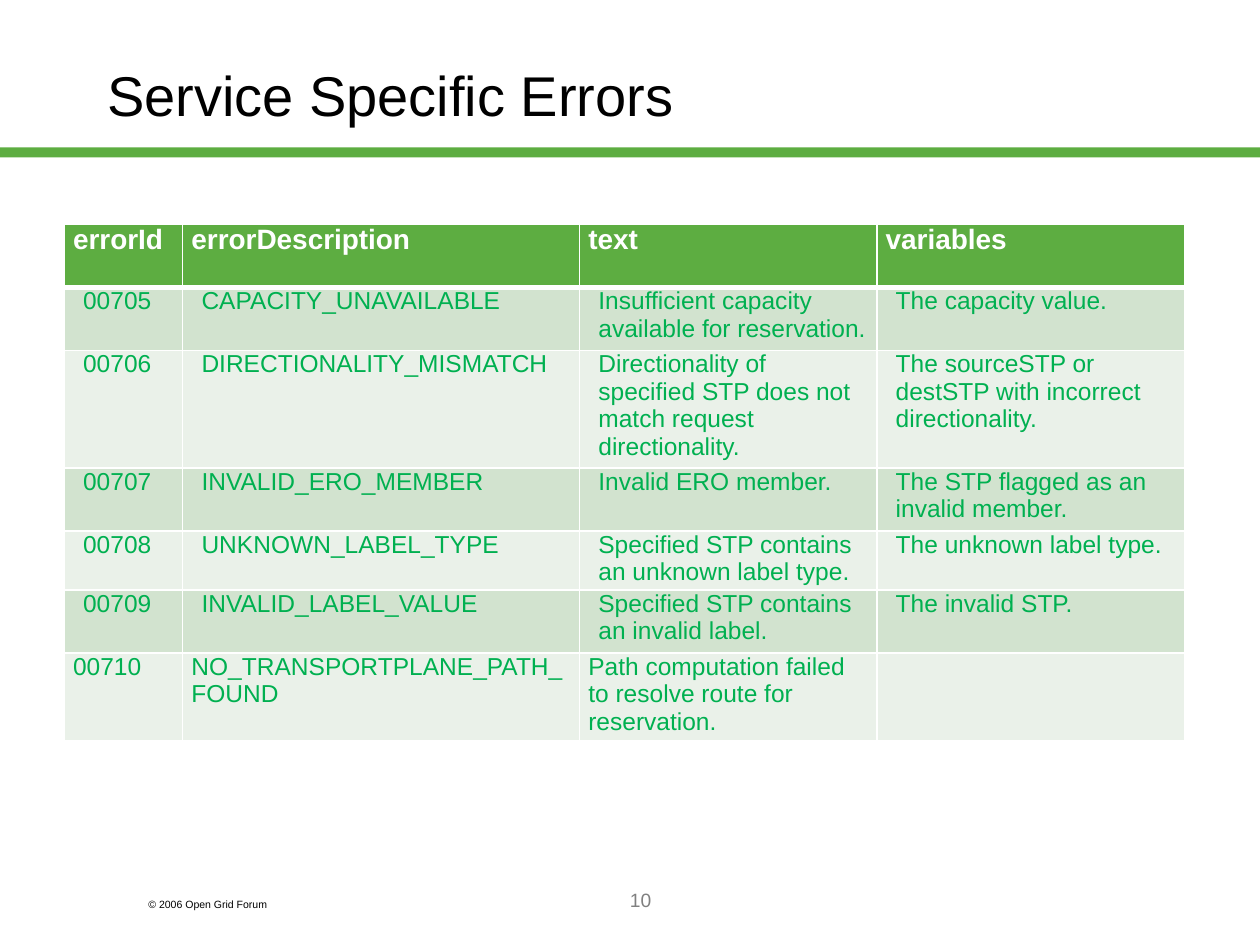
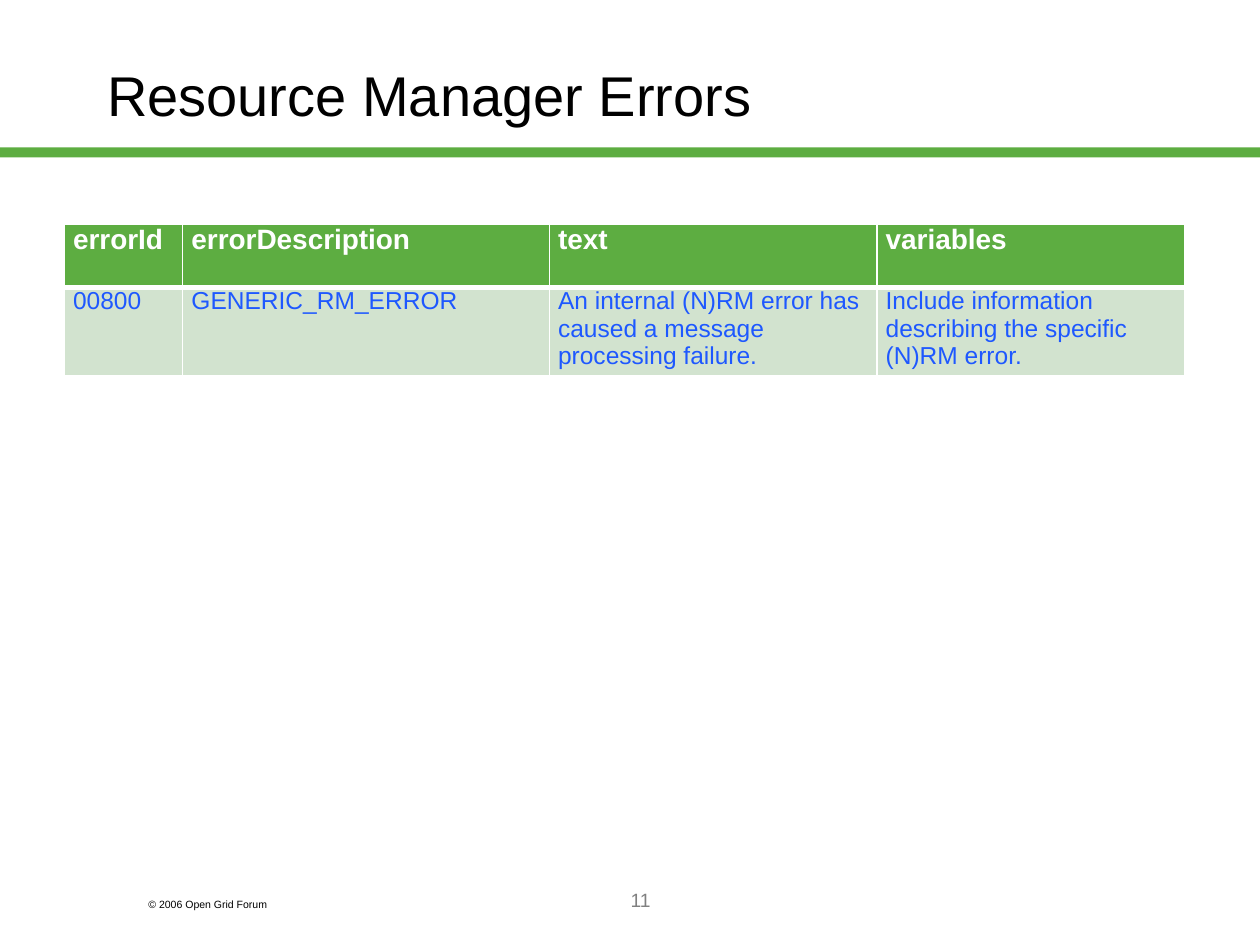
import pptx
import pptx.dml.color
import pptx.enum.shapes
import pptx.enum.text
import pptx.oxml
import pptx.oxml.ns
import pptx.util
from lxml import etree

Color = pptx.dml.color.RGBColor
Pt = pptx.util.Pt
Inches = pptx.util.Inches
Align = pptx.enum.text.PP_ALIGN

GREEN = Color(0x5D, 0xAD, 0x41)
DARK = Color(0xD2, 0xE3, 0xCF)
PALE = Color(0xEA, 0xF1, 0xE9)
WHITE = Color(0xFF, 0xFF, 0xFF)
BLACK = Color(0x00, 0x00, 0x00)
GREY = Color(0x80, 0x80, 0x80)
LEAF = Color(0x00, 0xB0, 0x50)
BLUE = Color(0x1E, 0x58, 0xFF)

HEADS = ("errorId", "errorDescription", "text", "variables")
SERVICE = [
    ("00705", "CAPACITY_UNAVAILABLE",
     "Insufficient capacity available for reservation.", "The capacity value."),
    ("00706", "DIRECTIONALITY_MISMATCH",
     "Directionality of specified STP does not match request directionality.",
     "The sourceSTP or destSTP with incorrect directionality."),
    ("00707", "INVALID_ERO_MEMBER", "Invalid ERO member.",
     "The STP flagged as an invalid member."),
    ("00708", "UNKNOWN_LABEL_TYPE",
     "Specified STP contains an unknown label type.", "The unknown label type."),
    ("00709", "INVALID_LABEL_VALUE",
     "Specified STP contains an invalid label.", "The invalid STP."),
    ("00710", "NO_TRANSPORTPLANE_PATH_FOUND",
     "Path computation failed to resolve route for reservation.", ""),
]
MANAGER = [
    ("00800", "GENERIC_RM_ERROR",
     "An internal (N)RM error has caused a message processing failure.",
     "Include information describing the specific (N)RM error."),
]
FLUSH = ("00710", "00800")
LOW = "00708"
PAGES = [
    (10, "Service Specific Errors", SERVICE, (0.94, 3.15, 2.36, 2.44), LEAF),
    (11, "Resource Manager Errors", MANAGER, (0.94, 2.91, 2.6, 2.44), BLUE),
]


def write(frame, text, size, color, bold=False):
    line = frame.paragraphs[0]
    line.text = text
    line.font.name = "Arial"
    line.font.size = Pt(size)
    line.font.bold = bold
    line.font.color.rgb = color
    return line


def edge(cell, side, width):
    prop = cell._tc.get_or_add_tcPr()
    line = etree.SubElement(prop, pptx.oxml.ns.qn("a:ln" + side), w=str(Pt(width)))
    fill = etree.SubElement(line, pptx.oxml.ns.qn("a:solidFill"))
    etree.SubElement(fill, pptx.oxml.ns.qn("a:srgbClr"), val=str(WHITE))


deck = pptx.Presentation()
deck.slide_width = Inches(10)
deck.slide_height = Inches(7.5)
WIDE, TALL = deck.slide_width, deck.slide_height

for number, name, errors, widths, ink in PAGES:
    slide = deck.slides.add_slide(deck.slide_layouts[5])

    band = slide.shapes.add_shape(
        pptx.enum.shapes.MSO_SHAPE.RECTANGLE, 0, Inches(1.17), WIDE, Inches(0.08))
    band.shadow.inherit = False
    band.fill.solid()
    band.fill.fore_color.rgb = GREEN
    band.line.fill.background()

    notice = slide.shapes.add_textbox(Inches(1.08), Inches(7.08), int(WIDE * 0.15), Inches(0.2))
    notice.text_frame.word_wrap = True
    write(notice.text_frame, "© 2006 Open Grid Forum", 6, BLACK)

    folio = slide.shapes.add_textbox(Inches(2.17), Inches(7), Inches(5.83), Inches(0.5))
    folio.text_frame.word_wrap = True
    write(folio.text_frame, str(number), 11, GREY).alignment = Align.CENTER

    title = slide.shapes.title
    title.left, title.top = int(WIDE * 0.075), Inches(0.17)
    title.width, title.height = int(WIDE * 0.85), int(TALL / 6)
    title.text_frame.vertical_anchor = pptx.enum.text.MSO_ANCHOR.MIDDLE
    line = write(title.text_frame, name, 32, BLACK)
    line.alignment = Align.LEFT
    line.line_spacing = 0.8
    prop = line._p.get_or_add_pPr()
    prop.set("marL", str(Inches(0.42)))
    prop.set("indent", str(Inches(-0.42)))

    rows = [HEADS] + errors
    table = slide.shapes.add_table(
        len(rows), len(HEADS), Inches(0.51), Inches(1.78),
        Inches(sum(widths)), Inches(0.5 * len(rows))).table
    for column, width in zip(table.columns, widths):
        column.width = Inches(width)

    for r, row in enumerate(rows):
        head = r == 0
        table.rows[r].height = Inches(0.4 if row[0] == LOW else 0.5)
        for c, text in enumerate(row):
            cell = table.cell(r, c)
            cell.margin_left = cell.margin_right = Inches(0.07)
            cell.margin_top = cell.margin_bottom = 0
            line = write(cell.text_frame, text, 16 if head else 14, WHITE if head else ink, head)
            if not head and row[0] not in FLUSH:
                line._p.get_or_add_pPr().set("marL", str(Inches(0.08)))
            for side in "LRTB":
                thick = (head and side == "B") or (r == 1 and side == "T")
                edge(cell, side, 3 if thick else 1)
            cell.fill.solid()
            cell.fill.fore_color.rgb = GREEN if head else (PALE, DARK)[r % 2]

deck.save("out.pptx")
